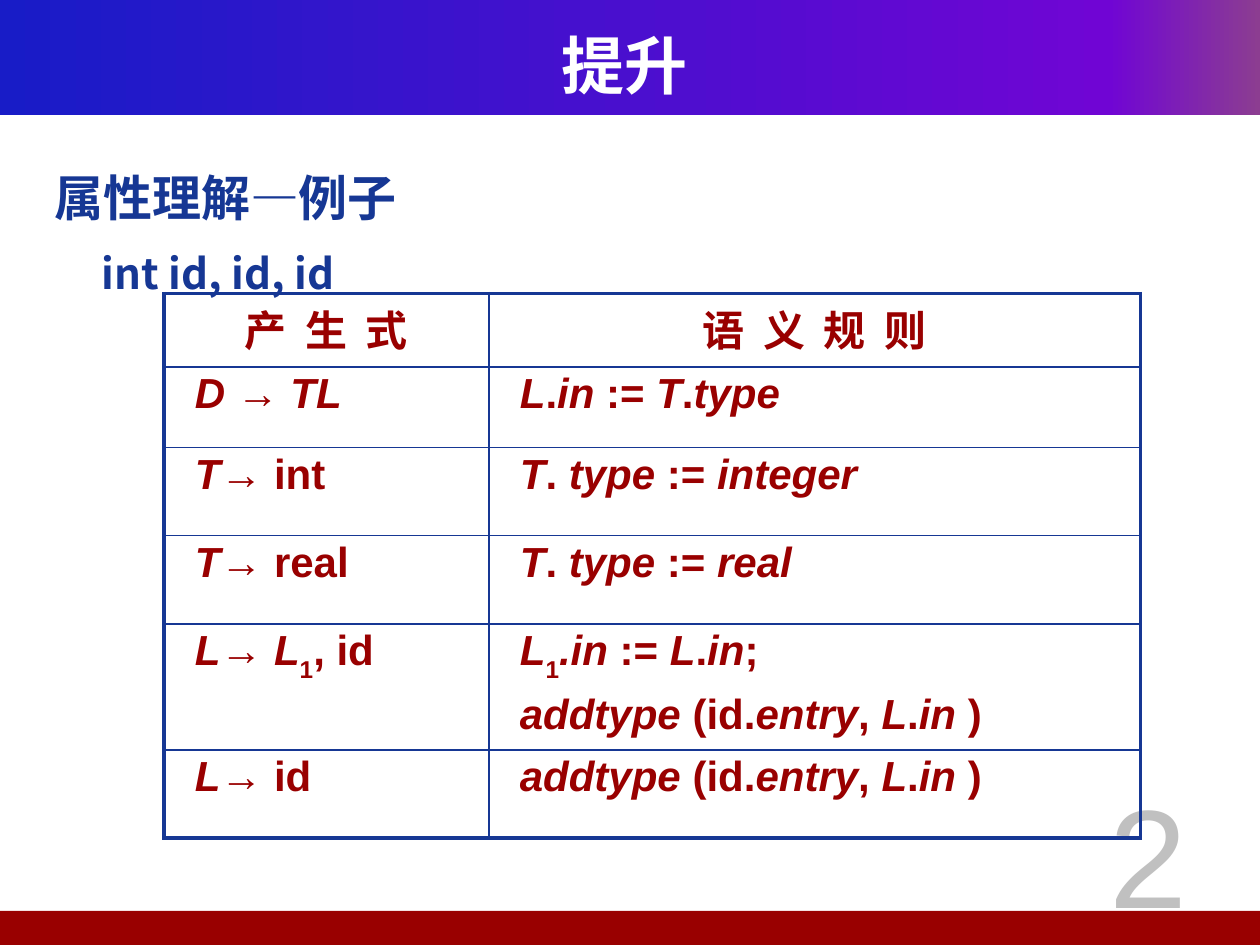
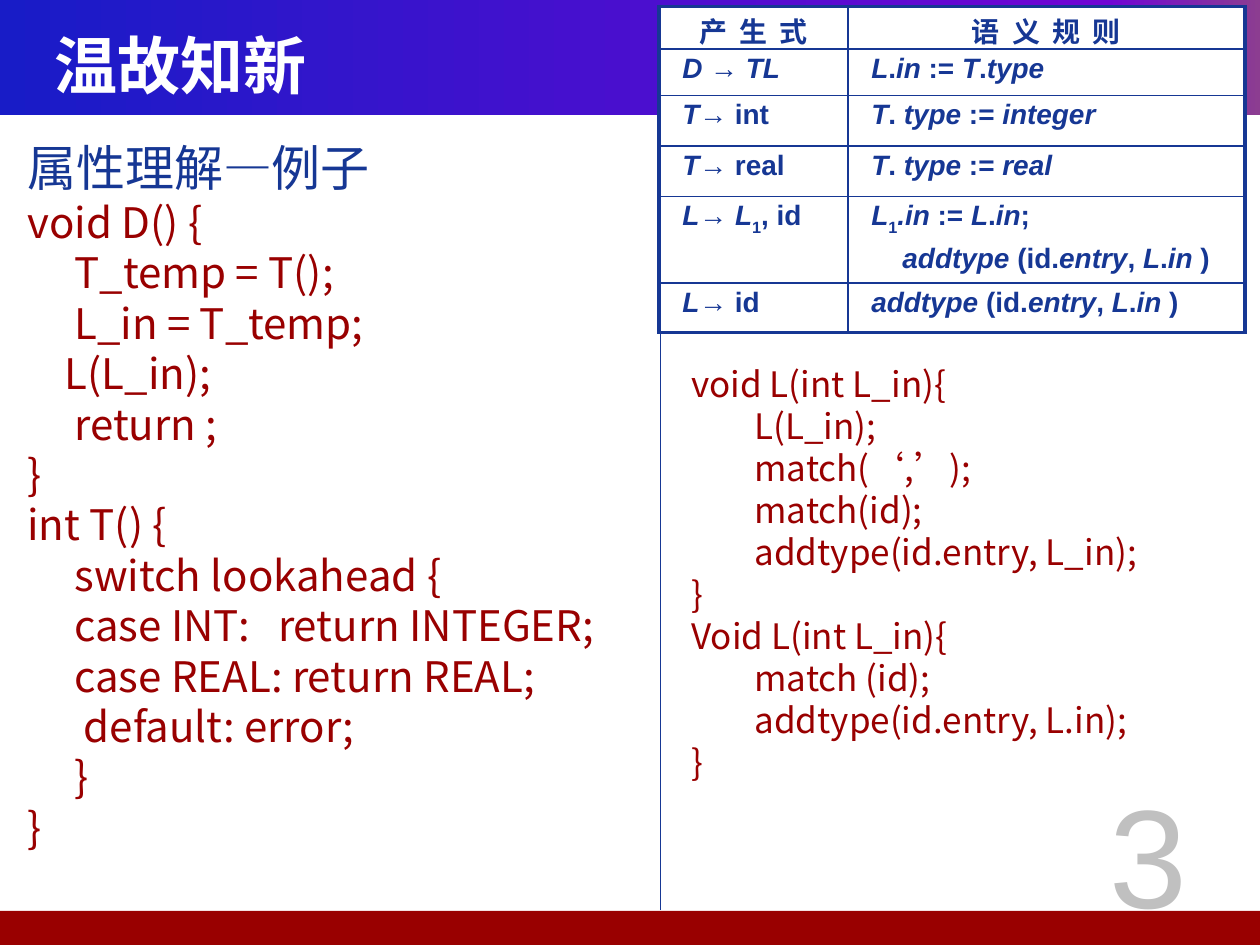
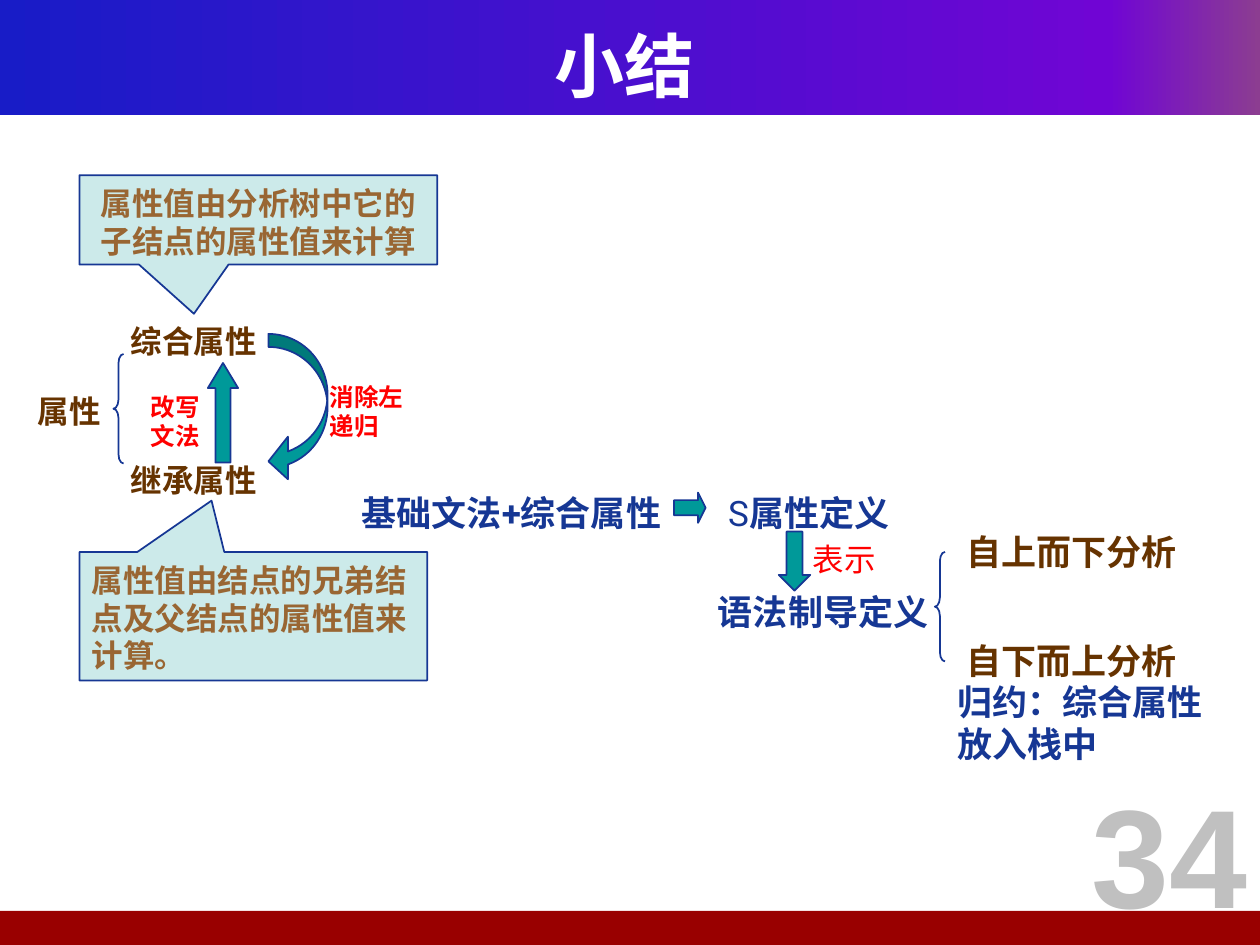
from lxml import etree
from pptx import Presentation
from pptx.dml.color import RGBColor
from pptx.enum import shapes, text
from pptx.oxml.ns import qn
from pptx.util import Pt

BLUE = RGBColor(0x16, 0x37, 0x94)
RED = RGBColor(0x99, 0x00, 0x00)
BRIGHT_RED = RGBColor(0xFF, 0x00, 0x00)
BROWN = RGBColor(0x66, 0x33, 0x00)
TAN = RGBColor(0x99, 0x66, 0x33)
TEAL = RGBColor(0x00, 0x99, 0x99)
GREY = RGBColor(0xC0, 0xC0, 0xC0)
WHITE = RGBColor(0xFF, 0xFF, 0xFF)
BAND_STOPS = [(0, "181CC7"), (88, "7005D4"), (100, "8C3D91")]

CJK, ARIAL, ROBOTO = "Noto Sans CJK SC", "Arial", "Roboto"
LEFT, CENTER, RIGHT = text.PP_ALIGN.LEFT, text.PP_ALIGN.CENTER, text.PP_ALIGN.RIGHT
SHAPE = shapes.MSO_SHAPE
WIDTH, HEIGHT = 720, 540
LEADING = 1.2

EXAMPLE = "属性理解—例子"

# In the rules, *...* is italic and _..._ is subscript.
HEADINGS = ["产 生 式", "语 义 规 则"]
RULES = [
    ("*D *→ *TL*", ["*L*.*in* := *T*.*type*"]),
    ("*T*→ int", ["*T*.* type* := *integer*"]),
    ("*T*→ real", ["*T*.* type* := *real*"]),
    ("*L*→ *L*_1_, id", ["*L*_1_*.in* := *L*.*in*;",
                         "*addtype* (id.*entry*, *L*.*in* )"]),
    ("*L*→ id", ["*addtype* (id.*entry*, *L*.*in* )"]),
]

CODE_D_T = [
    "void D() {",
    "     T_temp = T();",
    "     L_in = T_temp;",
    "    L(L_in);",
    "     return ;",
    "}",
    "int T() {",
    "     switch lookahead {",
    "     case INT:   return INTEGER;",
    "     case REAL: return REAL;",
    "      default: error;",
    "     }",
    "}",
]
CODE_L = [
    "void L(int L_in){",
    "\tL(L_in);",
    "\tmatch(‘,’);",
    "\tmatch(id);",
    "\taddtype(id.entry, L_in);",
    "}",
    "Void L(int L_in){",
    "\tmatch (id);",
    "\taddtype(id.entry, L.in);",
    "}",
]

# kind, (left, top, width, height), adjustments, fill
SYMBOLS = [
    (SHAPE.RIGHT_ARROW, (385.2, 281.5, 18, 17.3), (0.5, 0.25), TEAL),
    (SHAPE.DOWN_ARROW, (445, 303.8, 18, 33.8), (0.5, 0.5), TEAL),
    (SHAPE.LEFT_BRACE, (534.2, 315.4, 5.8, 62.6), (0.9, 0.5), None),
    (SHAPE.LEFT_BRACE, (64.8, 202.3, 5.8, 62.6), (0.9, 0.5), None),
    (SHAPE.CURVED_LEFT_ARROW, (153.4, 190.8, 33.8, 85), (0.22, 0.72, 0.33), TEAL),
    (SHAPE.UP_ARROW, (118.8, 207.4, 17.3, 56.9), (0.5, 0.83), TEAL),
]
# words, box, tip of the callout, alignment
CALLOUTS = [
    ("属性值由分析树中它的子结点的属性值来计算", (45.4, 100.1, 204.5, 51.1),
     (-0.18, 1.05), CENTER),
    ("属性值由结点的兄弟结点及父结点的属性值来计算。", (45.4, 315.4, 198.7, 73.4),
     (-0.12, -0.9), LEFT),
]
# words, left, top, width, lines, side inset, size, colour
LABELS = [
    ("基础文法+综合属性", 206.6, 275.8, 184.3, 1, 0, 20, BLUE),
    ("语法制导定义", 403.2, 332.6, 136.8, 1, 7.2, 20, BLUE),
    ([("S", {"bold": False}), ("属性定义", {})], 409, 275.8, 107.3, 1, 7.2, 20, BLUE),
    ([("表示", {"bold": False})], 457.2, 303.8, 59, 1, 7.2, 18, BRIGHT_RED),
    ("自上而下分析", 552.2, 298, 131, 1, 0, 20, BROWN),
    ("自下而上分析", 552.2, 360.7, 131, 1, 0, 20, BROWN),
    ("属性", 14.4, 218.9, 57, 1, 7.2, 18, BROWN),
    ("综合属性", 67.7, 179.3, 90.7, 1, 7.2, 18, BROWN),
    ("继承属性", 67.7, 258.5, 90.7, 1, 7.2, 18, BROWN),
    ("消除左递归", 181.4, 213.1, 57, 2, 7.2, 14, BRIGHT_RED),
    ("改写文法", 79.2, 218.9, 45.4, 2, 7.2, 14, BRIGHT_RED),
    ("归约：综合属性放入栈中", 547.2, 383.8, 152.6, 2, 0, 20, BLUE),
]


def points(box):
    return [Pt(length) for length in box]


def marked(line):
    """Split a marked line into runs with their formats."""
    runs = []
    for i, piece in enumerate(line.split("*")):
        for j, words in enumerate(piece.split("_")):
            if words:
                runs.append((words, {"italic": i % 2 == 1, "sub": j % 2 == 1}))
    return runs


def format_run(run, size, color, font, bold=False, italic=False, sub=False, tracking=0):
    run.font.size = Pt(size)
    run.font.bold = bold
    run.font.italic = italic
    run.font.color.rgb = color
    run.font.name = font
    props = run.font._element
    etree.SubElement(props, qn("a:ea")).set("typeface", CJK)
    if sub:
        props.set("baseline", "-30000")
    if tracking:
        props.set("spc", str(round(tracking * 100)))


def write(frame, lines, *, size, color=BLUE, font=CJK, align=LEFT, leading=None,
          before=0, indent=0, **style):
    """Add one paragraph a line; a line is a string or a list of (words, format)."""
    for line in lines:
        first = not frame.paragraphs[0].runs
        paragraph = frame.paragraphs[0] if first else frame.add_paragraph()
        paragraph.alignment = align
        if leading is None:
            paragraph.line_spacing = Pt(round(LEADING * size, 1))
        elif leading:
            paragraph.line_spacing = Pt(leading)
        if before and not first:
            paragraph.space_before = Pt(before)
        if indent:
            paragraph._p.get_or_add_pPr().set("marL", str(Pt(indent)))
        for words, changes in [(line, {})] if isinstance(line, str) else line:
            run = paragraph.add_run()
            run.text = words
            format_run(run, size, color, font, **{**style, **changes})


def prepare(frame, side=7.2, anchor=text.MSO_ANCHOR.TOP):
    frame.word_wrap = True
    frame.margin_left = frame.margin_right = Pt(side)
    frame.margin_top, frame.margin_bottom = Pt(5), Pt(3.6)
    frame.vertical_anchor = anchor
    return frame


def text_area(slide, box, **layout):
    return prepare(slide.shapes.add_textbox(*points(box)).text_frame, **layout)


def add_shape(slide, kind, box, fill=None, line=None, adjust=()):
    shape = slide.shapes.add_shape(kind, *points(box))
    shape.shadow.inherit = False
    for i, value in enumerate(adjust):
        shape.adjustments[i] = value
    if fill is None:
        shape.fill.background()
    else:
        shape.fill.solid()
        shape.fill.fore_color.rgb = fill
    if line is None:
        shape.line.fill.background()
    else:
        shape.line.color.rgb = line
        shape.line.width = Pt(1)
    return shape


def add_page(deck, title, number, title_size=36, title_align=CENTER,
             number_align=CENTER, number_bold=False):
    slide = deck.slides.add_slide(deck.slide_layouts[6])
    band = add_shape(slide, SHAPE.RECTANGLE, (0, 0, WIDTH, 65.5))
    band.fill.gradient()
    band.fill.gradient_angle = 0
    stops = band._element.spPr.find(qn("a:gradFill")).find(qn("a:gsLst"))
    for stop in list(stops):
        stops.remove(stop)
    for position, color in BAND_STOPS:
        stop = etree.SubElement(stops, qn("a:gs"), pos=str(position * 1000))
        etree.SubElement(stop, qn("a:srgbClr"), val=color)
    add_shape(slide, SHAPE.RECTANGLE, (-3, 520.5, WIDTH + 3, 19.5), RED)
    write(text_area(slide, (24, 14, 666, 44.6), anchor=text.MSO_ANCHOR.MIDDLE), [title],
          size=title_size, color=WHITE, align=title_align, bold=True)
    write(text_area(slide, (592.6, 434.2, 127.4, 102.2)), [number], size=80, color=GREY,
          font=ARIAL, align=number_align, bold=number_bold)
    return slide


def add_borders(cell, row, column, last_row, last_column):
    outer = {"L": column == 0, "R": column == last_column,
             "T": row == 0, "B": row == last_row}
    for side, is_outer in outer.items():
        line = etree.SubElement(cell._tc.get_or_add_tcPr(), qn("a:ln" + side),
                                w=str(Pt(2.25 if is_outer else 1)))
        fill = etree.SubElement(line, qn("a:solidFill"))
        etree.SubElement(fill, qn("a:srgbClr"), val=str(BLUE))


def add_rules(slide, left, top, widths, heights, size, color, fill=None, extra_indent=0):
    """Add the table of productions and semantic rules."""
    rows = [HEADINGS] + RULES
    table = slide.shapes.add_table(
        len(rows), 2, *points((left, top, sum(widths), sum(heights)))).table
    table.first_row = table.horz_banding = False
    for column, width in zip(table.columns, widths):
        column.width = Pt(width)
    for r, (row, height) in enumerate(zip(rows, heights)):
        table.rows[r].height = Pt(height)
        for c, content in enumerate(row):
            cell = table.cell(r, c)
            cell.margin_left = cell.margin_right = Pt(4.5)
            cell.margin_top = cell.margin_bottom = Pt(2.25)
            add_borders(cell, r, c, len(rows) - 1, 1)
            if fill is None:
                cell.fill.background()
            else:
                cell.fill.solid()
                cell.fill.fore_color.rgb = fill
            look = {"size": size, "color": color, "leading": 0, "bold": True}
            if r == 0:
                write(cell.text_frame, [content], align=CENTER, tracking=0.11 * size, **look)
                continue
            lines = [content] if isinstance(content, str) else content
            for i, line in enumerate(lines):
                write(cell.text_frame, [marked(line)], font=ARIAL, before=0.2 * size,
                      indent=0.55 * size + (extra_indent if i else 0), **look)


def build_example(deck):
    slide = add_page(deck, "提升", "2")
    body = text_area(slide, (24, 88.6, 678, 414))
    write(body, [EXAMPLE], size=28, leading=36, bold=True)
    write(body, ["int id, id, id"], size=24, leading=40.5, indent=27, bold=True)
    add_rules(slide, 93.6, 167.8, (185.8, 372.2), (41.8, 46.1, 50.4, 50.4, 67.7, 50.4),
              24, RED)


def build_code(deck):
    slide = add_page(deck, "温故知新", "3", title_align=LEFT)
    body = text_area(slide, (8.6, 71.3, 374.4, 414))
    write(body, [EXAMPLE], size=28, leading=36)
    write(body, CODE_D_T, size=24, color=RED)
    add_rules(slide, 376.6, 3.6, (108, 226.8), (24.5, 26.6, 28.8, 28.8, 46.8, 28.1),
              16, BLUE, fill=WHITE, extra_indent=17.8)
    write(text_area(slide, (388, 202.3, 312, 250)), CODE_L, size=20, color=RED)
    divider = slide.shapes.add_connector(
        shapes.MSO_CONNECTOR.STRAIGHT, *points((377.3, 190.8, 377.3, 519.8)))
    divider.line.color.rgb = BLUE
    divider.line.width = Pt(0.5)
    etree.SubElement(divider._element.spPr, qn("a:effectLst"))


def build_summary(deck):
    slide = add_page(deck, "小结", "34", title_size=40, number_align=RIGHT, number_bold=True)
    for words, box, tip, align in CALLOUTS:
        callout = add_shape(slide, SHAPE.RECTANGULAR_CALLOUT, box, TEAL, BLUE, tip)
        tint = callout._element.spPr.find(qn("a:solidFill"))[0]
        etree.SubElement(tint, qn("a:alpha"), val="20000")
        write(prepare(callout.text_frame), [words], size=18, color=TAN, font=ROBOTO,
              align=align, bold=True)
    for kind, box, adjust, fill in SYMBOLS:
        add_shape(slide, kind, box, fill, BLUE, adjust)
    for words, left, top, width, lines, side, size, color in LABELS:
        height = lines * LEADING * size + 7.2
        write(text_area(slide, (left, top, width, height), side=side), [words],
              size=size, color=color, font=ROBOTO, bold=True)


def main():
    deck = Presentation()
    deck.slide_width, deck.slide_height = Pt(WIDTH), Pt(HEIGHT)
    build_example(deck)
    build_code(deck)
    build_summary(deck)
    deck.save("out.pptx")


if __name__ == "__main__":
    main()
